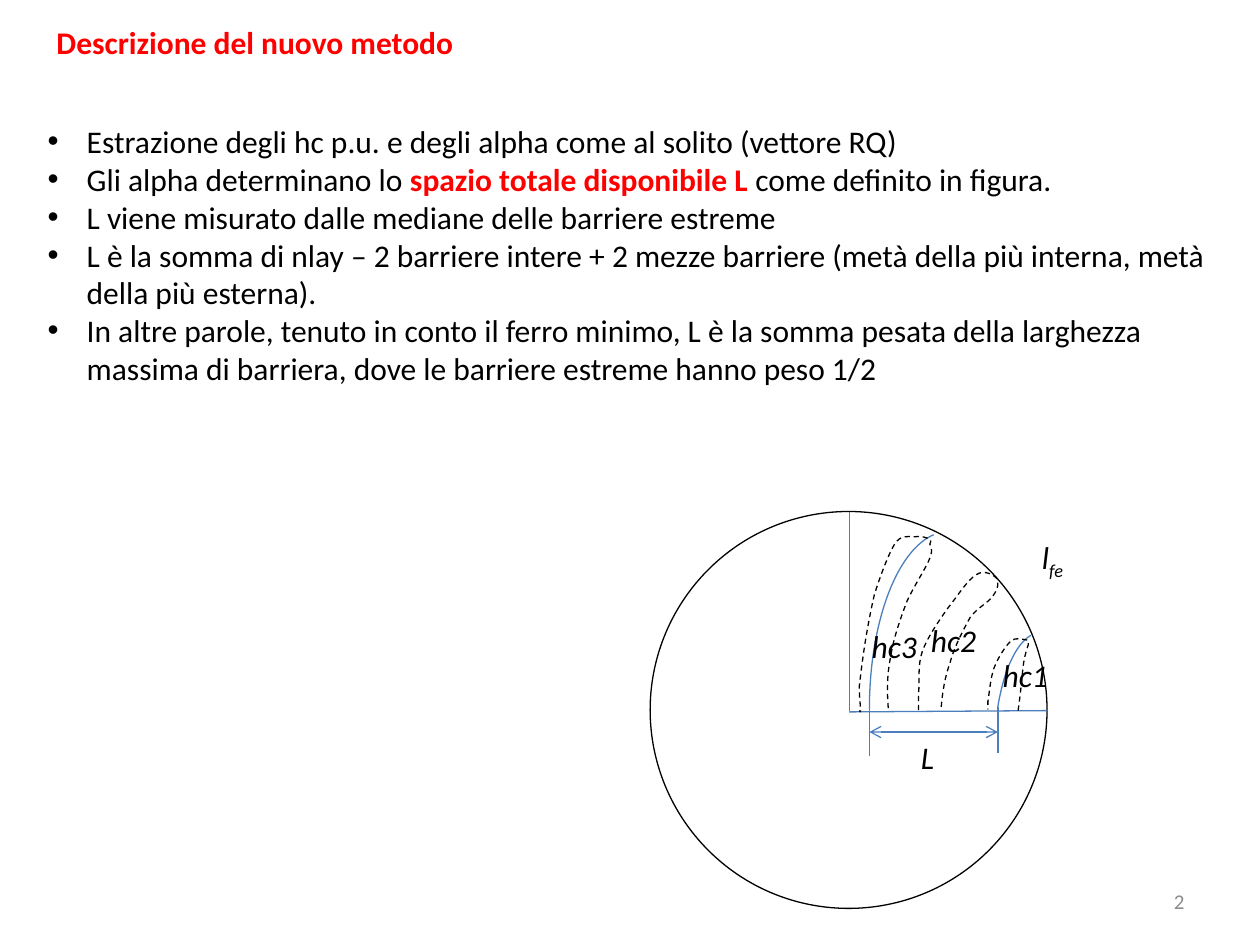
import lxml.etree
import pptx
import pptx.dml.color
import pptx.enum.dml
import pptx.enum.shapes
import pptx.enum.text
import pptx.oxml.ns
import pptx.util

Inches = pptx.util.Inches
Pt = pptx.util.Pt
qn = pptx.oxml.ns.qn
SHAPE = pptx.enum.shapes.MSO_SHAPE
AUTO_SIZE = pptx.enum.text.MSO_AUTO_SIZE

COLOURS = {"text": "000000", "accent": "FF0000", "axis": "4B7EBC",
           "paper": "FFFFFF", "number": "8C8C8C"}

BULLETS = [
    ["Estrazione degli hc p.u. e degli alpha come al solito (vettore RQ)"],
    ["Gli alpha determinano lo ", "spazio totale disponibile L ", "come definito in figura."],
    ["L viene misurato dalle mediane delle barriere estreme"],
    ["L è la somma di nlay – 2 barriere intere + 2 mezze barriere "
     "(metà della più interna, metà della più esterna)."],
    ["In altre parole, tenuto in conto il ferro minimo, L è la somma pesata della larghezza "
     "massima di barriera, dove le barriere estreme hanno peso 1/2"],
]

# Each barrier outline: a start point, then cubic curves of three points each.
BARRIERS = {
    "hc3": [(7.05, 5.62),
            (7.04, 5.48), (7.04, 5.35), (7.07, 5.21), (7.09, 5.07), (7.15, 4.9), (7.2, 4.77),
            (7.26, 4.64), (7.35, 4.51), (7.38, 4.43), (7.41, 4.36), (7.38, 4.32), (7.38, 4.32),
            (7.38, 4.3), (7.4, 4.29), (7.38, 4.28), (7.36, 4.27), (7.31, 4.25), (7.26, 4.26),
            (7.21, 4.26), (7.15, 4.24), (7.1, 4.32), (7.05, 4.4), (6.98, 4.59), (6.94, 4.72),
            (6.91, 4.85), (6.89, 4.96), (6.87, 5.08), (6.85, 5.2), (6.83, 5.36), (6.82, 5.45),
            (6.82, 5.54), (6.83, 5.6), (6.83, 5.63), (6.83, 5.66), (6.83, 5.65), (6.82, 5.64)],
    "hc2": [(7.47, 5.61),
            (7.48, 5.49), (7.5, 5.37), (7.54, 5.26), (7.57, 5.14), (7.65, 4.99), (7.7, 4.9),
            (7.76, 4.82), (7.85, 4.78), (7.88, 4.73), (7.92, 4.68), (7.93, 4.62), (7.91, 4.59),
            (7.88, 4.56), (7.81, 4.52), (7.75, 4.56), (7.68, 4.6), (7.6, 4.73), (7.52, 4.83),
            (7.45, 4.93), (7.36, 5.06), (7.32, 5.17), (7.28, 5.28), (7.3, 5.42), (7.29, 5.5),
            (7.29, 5.57), (7.29, 5.64), (7.29, 5.65)],
    "hc1": [(8.08, 5.64),
            (8.1, 5.51), (8.11, 5.38), (8.12, 5.29), (8.13, 5.21), (8.15, 5.15), (8.16, 5.12),
            (8.16, 5.08), (8.17, 5.08), (8.15, 5.08), (8.13, 5.08), (8.06, 5.05), (8.02, 5.09),
            (7.98, 5.13), (7.92, 5.22), (7.89, 5.3), (7.86, 5.38), (7.85, 5.52), (7.84, 5.57),
            (7.84, 5.63), (7.84, 5.63), (7.84, 5.63)],
}


def colour(name):
    return pptx.dml.color.RGBColor.from_string(COLOURS[name])


def style_font(font, size=18, tint="text", bold=False, italic=False):
    font.name, font.size = "Calibri", Pt(size)
    font.bold, font.italic = bold, italic
    font.color.rgb = colour(tint)


def add_box(page, left, top, width, height):
    box = page.shapes.add_textbox(Inches(left), Inches(top), Inches(width), Inches(height))
    box.text_frame.word_wrap = True
    box.text_frame.auto_size = AUTO_SIZE.SHAPE_TO_FIT_TEXT
    return box.text_frame


def add_label(page, text, left, top, width, height=0.4, **style):
    frame = add_box(page, left, top, width, height)
    para = frame.paragraphs[0]
    para.add_run().text = text
    style_font(para.font, **style)
    return frame


def set_bullet(para):
    props = para._p.get_or_add_pPr()
    props.set("marL", str(Inches(0.31)))
    props.set("indent", str(-Inches(0.31)))
    lxml.etree.SubElement(props, qn("a:buFont")).set("typeface", "Arial")
    lxml.etree.SubElement(props, qn("a:buChar")).set("char", "•")


def add_bullets(page):
    frame = add_box(page, 0.28, 0.92, 9.45, 2.52)
    for index, texts in enumerate(BULLETS):
        para = frame.add_paragraph() if index else frame.paragraphs[0]
        set_bullet(para)
        style_font(para.font)
        for position, text in enumerate(texts):
            span = para.add_run()
            span.text = text
            if position == 1:
                span.font.bold = True
                span.font.color.rgb = colour("accent")


def style_outline(shape, tint):
    shape.line.color.rgb = colour(tint)
    shape.line.width = Pt(0.75)


def add_line(page, start, end, arrows=False):
    line = page.shapes.add_connector(pptx.enum.shapes.MSO_CONNECTOR.STRAIGHT,
                                     *map(Inches, start + end))
    style_outline(line, "axis")
    if arrows:
        for tag in ("a:headEnd", "a:tailEnd"):
            lxml.etree.SubElement(line.line._get_or_add_ln(), qn(tag)).set("type", "arrow")
    lxml.etree.SubElement(line._element.spPr, qn("a:effectLst"))


def add_rotor(page):
    rotor = page.shapes.add_shape(SHAPE.OVAL, *map(Inches, (5.16, 4.06, 3.15, 3.15)))
    rotor.shadow.inherit = False
    rotor.fill.solid()
    rotor.fill.fore_color.rgb = colour("paper")
    style_outline(rotor, "text")


def add_median(page, bounds, start, end):
    """Draw the median arc of a barrier, turned to rise from the axis."""
    arc = page.shapes.add_shape(SHAPE.ARC, *map(Inches, bounds))
    arc.shadow.inherit = False
    arc.fill.background()
    arc.rotation = 270
    arc.adjustments[0], arc.adjustments[1] = start, end
    style_outline(arc, "axis")


def bend_segments(shape, points):
    """Turn each straight segment between anchors into its cubic curve."""
    segments = list(shape._element.iter(qn("a:lnTo")))
    for index, segment in enumerate(segments):
        segment.tag = qn("a:cubicBezTo")
        controls = points[3 * index + 1:3 * index + 3]
        for position, (x, y) in enumerate(controls):
            control = lxml.etree.Element(qn("a:pt"))
            control.set("x", str(x - shape.left))
            control.set("y", str(y - shape.top))
            segment.insert(position, control)


def add_barrier(page, outline):
    points = [(Inches(x), Inches(y)) for x, y in outline]
    anchors = points[::3]
    builder = page.shapes.build_freeform(*anchors[0])
    builder.add_line_segments(anchors[1:], close=False)
    barrier = builder.convert_to_shape()
    bend_segments(barrier, points)
    barrier.shadow.inherit = False
    barrier.fill.background()
    style_outline(barrier, "text")
    barrier.line.dash_style = pptx.enum.dml.MSO_LINE.DASH


def add_figure(page):
    add_rotor(page)
    add_line(page, (8.31, 5.64), (6.74, 5.65))
    add_line(page, (6.74, 4.06), (6.74, 5.64))
    add_median(page, (6.12, 5, 2.81, 1.25), 162, 213.15)
    add_median(page, (7.29, 5.62, 1.94, 0.74), 190.79, 213.15)
    for outline in BARRIERS.values():
        add_barrier(page, outline)
    add_line(page, (6.9, 5.63), (6.9, 6))
    add_line(page, (7.92, 5.61), (7.92, 5.98))
    add_line(page, (6.9, 5.81), (7.92, 5.81), arrows=True)
    for text, left, top in (("L", 7.21, 5.81), ("hc3", 6.82, 4.93),
                            ("hc2", 7.29, 4.88), ("hc1", 7.86, 5.16)):
        add_label(page, text, left, top, 0.94, italic=True)
    iron = add_label(page, "l", 8.17, 4.22, 1.17, italic=True)
    subscript = iron.paragraphs[0].add_run()
    subscript.text = "fe"
    subscript.font._element.set("baseline", "-25000")


def add_page_number(page):
    number = add_label(page, "2", 7.17, 6.95, 2.33, size=12, tint="number")
    number.auto_size = AUTO_SIZE.NONE
    number.vertical_anchor = pptx.enum.text.MSO_ANCHOR.MIDDLE
    number.paragraphs[0].alignment = pptx.enum.text.PP_ALIGN.RIGHT


def main():
    deck = pptx.Presentation()
    deck.slide_width, deck.slide_height = Inches(10), Inches(7.5)
    page = deck.slides.add_slide(deck.slide_layouts[6])
    add_label(page, "Descrizione del nuovo metodo", 0.35, 0.13, 9.13, tint="accent", bold=True)
    add_bullets(page)
    add_figure(page)
    add_page_number(page)
    deck.save("out.pptx")


if __name__ == "__main__":
    main()
